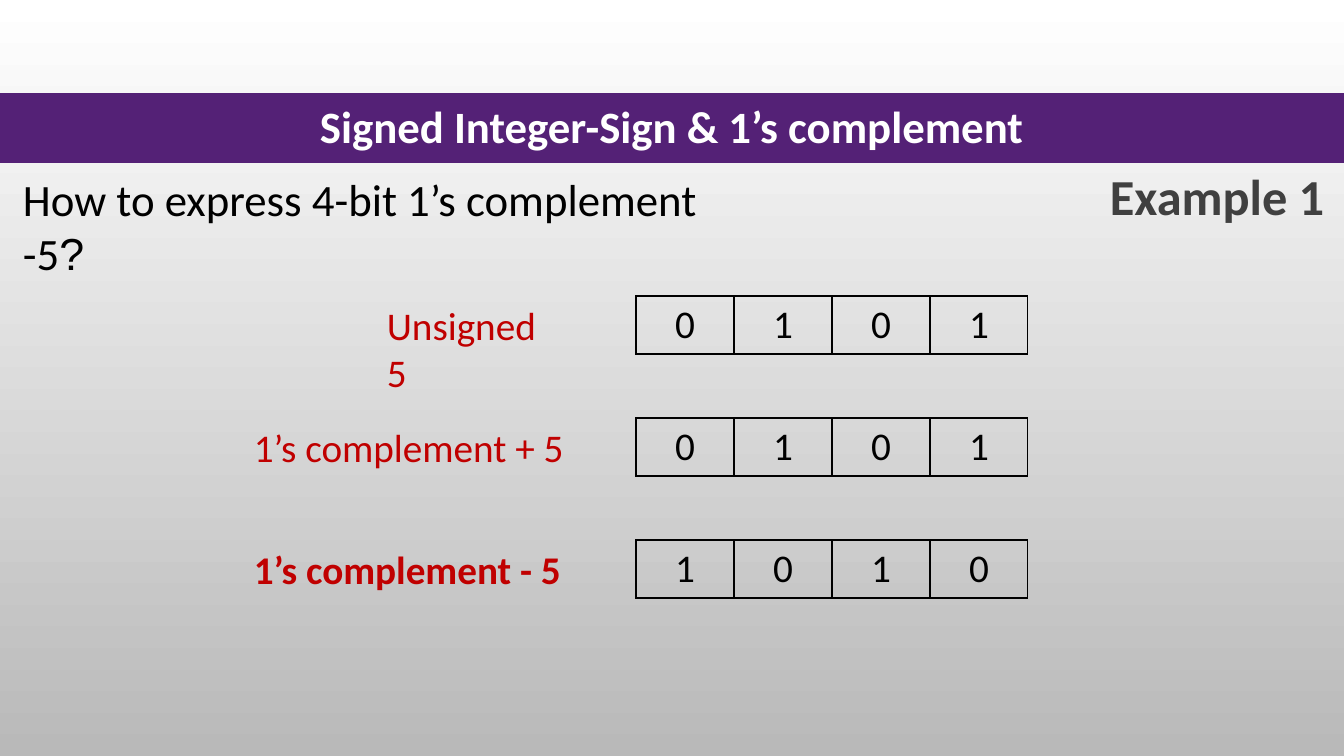
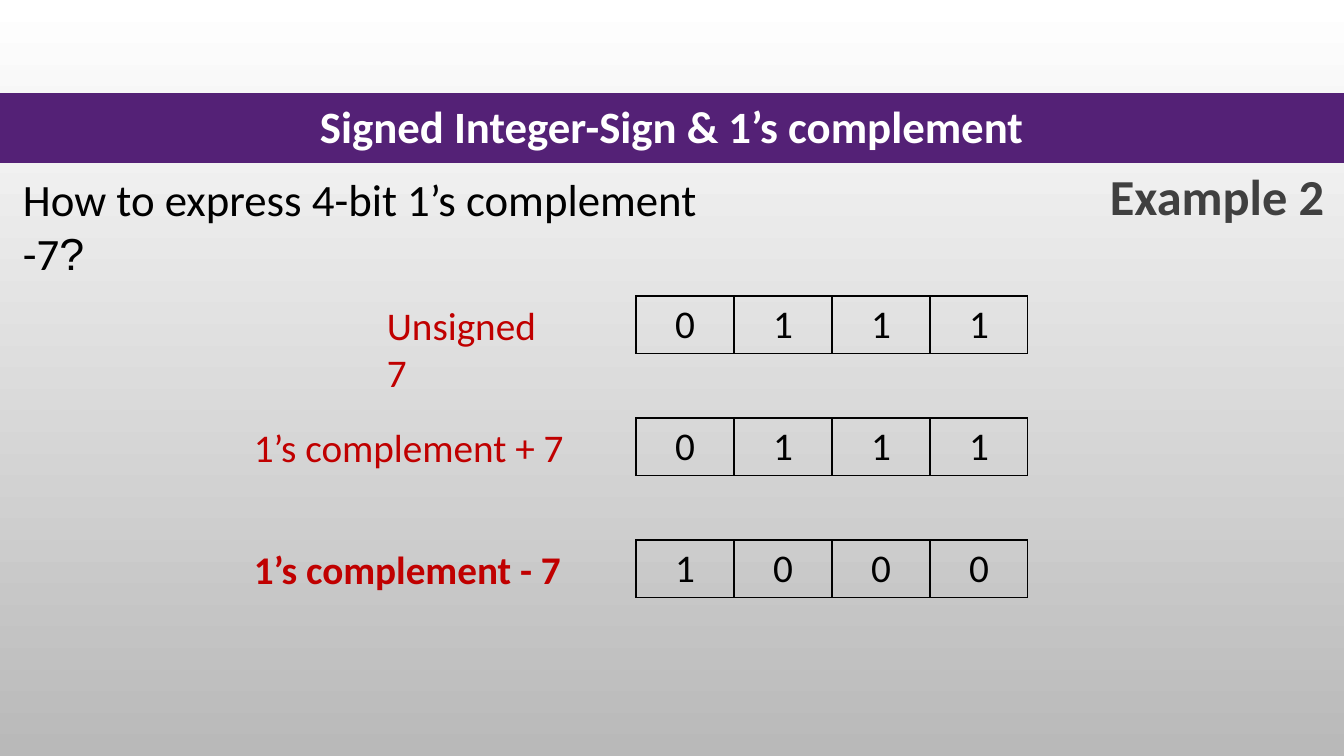
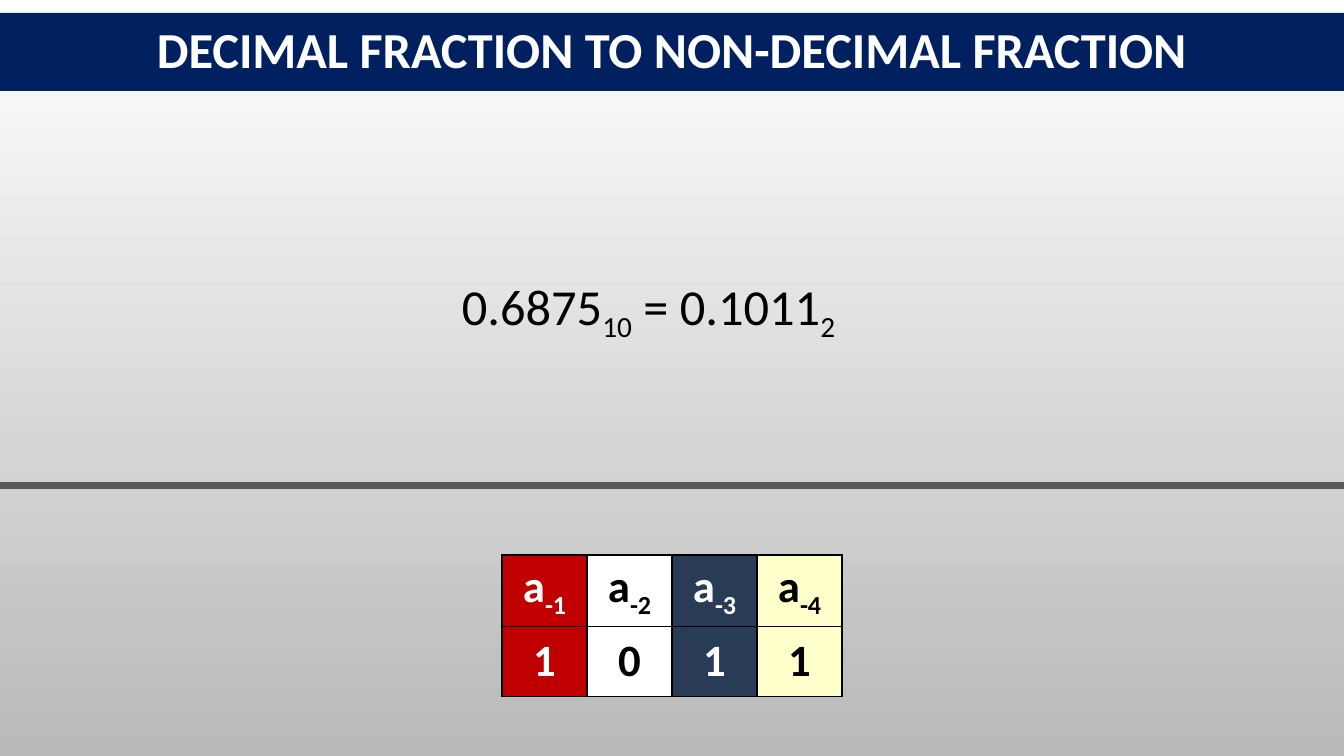
from lxml import etree
from pptx import Presentation
from pptx.dml.color import RGBColor
from pptx.enum.shapes import MSO_SHAPE
from pptx.enum.text import MSO_ANCHOR, PP_ALIGN
from pptx.oxml import parse_xml
from pptx.oxml.ns import nsdecls, qn
from pptx.util import Pt

PX = 9072  # EMU in one px
WIDTH, HEIGHT = 1344, 756
RECTANGLE = MSO_SHAPE.RECTANGLE
MIDDLE = MSO_ANCHOR.MIDDLE
LEFT, CENTER = PP_ALIGN.LEFT, PP_ALIGN.CENTER
PLAIN_TABLE = "{2D5ABB26-0587-4C30-8999-92F81FD0307C}"


class Theme:
    white, black, ash = "FFFFFF", "000000", "B9B9B9"
    purple, navy, gray = "542176", "002060", "595959"
    red, slate, cream = "C00000", "283C55", "FFFFCC"
    base = {"name": "Calibri", "bold": False, "color": black}
    banner = {**base, "size": Pt(32), "bold": True, "color": white}
    headline = {**banner, "size": Pt(36)}
    question = {**base, "size": Pt(32)}
    bit = {**base, "size": Pt(28)}
    label = {**bit, "color": red}
    result = {**label, "bold": True}
    example = {**base, "size": Pt(36), "bold": True, "color": "404040"}
    formula = {**base, "size": Pt(36)}
    digit = {**base, "size": Pt(32), "bold": True}
    subscript = {"baseline": "-25000"}


def write(frame, runs, style, align=LEFT):
    """Fill the first paragraph with (text, style changes) runs."""
    frame.word_wrap = True
    paragraph = frame.paragraphs[0]
    paragraph.alignment = align
    for text, changes in runs:
        run = paragraph.add_run()
        run.text = text
        for attribute, value in {**style, **changes}.items():
            if attribute == "color":
                run.font.color.rgb = RGBColor.from_string(value)
            elif attribute == "baseline":
                run.font._element.set("baseline", value)
            else:
                setattr(run.font, attribute, value)
    return paragraph


def add_grid(slide, box, rows, style, border=None):
    """Add a table of equal cells, each given as (runs, fill colour, text colour)."""
    table = slide.shapes.add_table(len(rows), len(rows[0]), *(v * PX for v in box)).table
    table.first_row = table.horz_banding = False
    table._tbl.tblPr.find(qn("a:tableStyleId")).text = PLAIN_TABLE
    for r, row in enumerate(rows):
        for c, (runs, fill, color) in enumerate(row):
            cell = table.cell(r, c)
            cell.vertical_anchor = MIDDLE
            if border:
                properties = cell._tc.get_or_add_tcPr()
                for side in ("lnL", "lnR", "lnT", "lnB"):
                    properties.append(parse_xml(
                        f'<a:{side} {nsdecls("a")} w="{Pt(1)}"><a:solidFill>'
                        f'<a:srgbClr val="{border}"/></a:solidFill></a:{side}>'))
            if fill:
                cell.fill.solid()
                cell.fill.fore_color.rgb = RGBColor.from_string(fill)
            else:
                cell.fill.background()
            write(cell.text_frame, runs, {**style, "color": color}, CENTER)


deck = Presentation()
deck.slide_width, deck.slide_height = WIDTH * PX, HEIGHT * PX
blank = deck.slide_layouts[6]
backdrop = deck.slide_master.background.fill
backdrop.gradient()
backdrop.gradient_angle = 270
for stop, color, position in zip(backdrop.gradient_stops, (Theme.white, Theme.ash), (0, 1)):
    stop.color.rgb = RGBColor.from_string(color)
    stop.position = position

# Worked examples of 4-bit 1’s complement
ROW_TOP, ROW_STEP, ROW_HEIGHT = 296, 122, 57
BITS_LEFT, BIT_WIDTH = 636, 98
for example, number in enumerate((5, 7), 1):
    slide = deck.slides.add_slide(blank)
    heading = [("Signed Integer-Sign & 1’s complement", {})]
    add_grid(slide, (0, 93, WIDTH, 70), [[(heading, Theme.purple, Theme.white)]], Theme.banner)

    positive, negative = f"{number:04b}", f"{15 - number:04b}"
    encodings = [
        (f"Unsigned {number}", 377, 190, positive, Theme.label),
        (f"1’s complement + {number}", 244, 334, positive, Theme.label),
        (f"1’s complement - {number}", 244, 334, negative, Theme.result),
    ]
    question = [(f"How to express 4-bit 1’s complement -{number}", {}), ("?", {"name": "Arial"})]
    captions = [
        ((13, 167, 759, 65), question, Theme.question),
        ((1100, 160, 244, 72), [(f"Example {example}", {})], Theme.example),
    ]
    for i, (label, left, width, bits, style) in enumerate(encodings):
        top = ROW_TOP + i * ROW_STEP
        captions.append(((left, top, width, ROW_HEIGHT), [(label, {})], style))
        cells = [([(bit, {})], None, Theme.black) for bit in bits]
        add_grid(slide, (BITS_LEFT, top, BIT_WIDTH * len(bits), ROW_HEIGHT),
                 [cells], Theme.bit, Theme.black)
    for box, runs, style in captions:
        write(slide.shapes.add_textbox(*(v * PX for v in box)).text_frame, runs, style)

# Decimal fraction to binary fraction
slide = deck.slides.add_slide(blank)
bands = []
for top, height, color in ((13, 78, Theme.navy), (483, 5, Theme.gray)):
    band = slide.shapes.add_shape(RECTANGLE, 0, top * PX, WIDTH * PX, height * PX)
    band.shadow.inherit = False
    band.fill.solid()
    band.fill.fore_color.rgb = RGBColor.from_string(color)
    bands.append(band)
headline_band, divider = bands
headline_band.line.fill.background()
divider.line.color.rgb = RGBColor.from_string(Theme.gray)
divider.line.width = Pt(1.25)
headline = write(headline_band.text_frame,
                 [("DECIMAL FRACTION TO NON-DECIMAL FRACTION", {})], Theme.headline, CENTER)
headline.line_spacing = 0.9

formula = [("0.6875", {}), ("10", Theme.subscript), (" = 0.1011", {}), ("2", Theme.subscript)]
formula_box = slide.shapes.add_textbox(*(v * PX for v in (452, 270, 441, 72)))
write(formula_box.text_frame, formula, Theme.formula)

digits = [
    ("1", Theme.red, Theme.white),
    ("0", Theme.white, Theme.black),
    ("1", Theme.slate, Theme.white),
    ("1", Theme.cream, Theme.black),
]
places = [([("a", {}), (f"-{place}", Theme.subscript)], fill, color)
          for place, (_, fill, color) in enumerate(digits, 1)]
values = [([(digit, {})], fill, color) for digit, fill, color in digits]
add_grid(slide, (502, 555, 340, 140), [places, values], Theme.digit, Theme.black)

deck.save("out.pptx")
